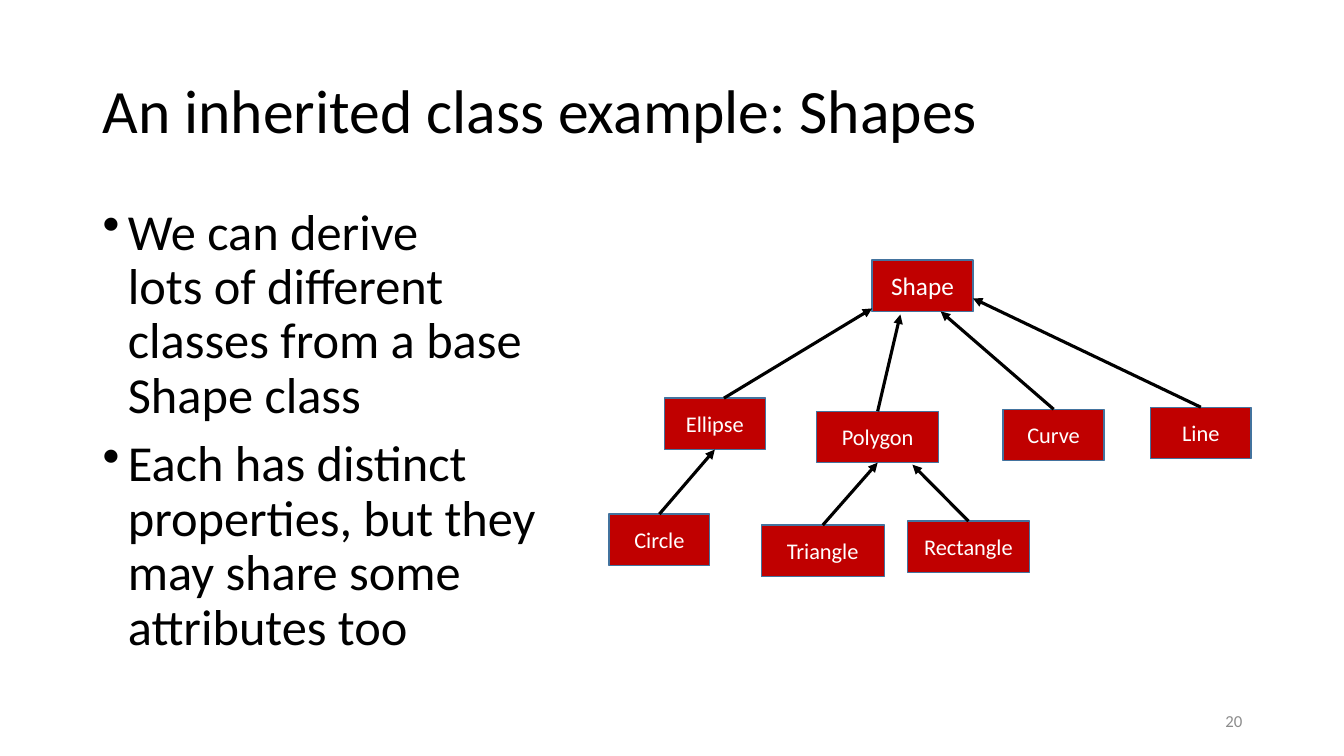
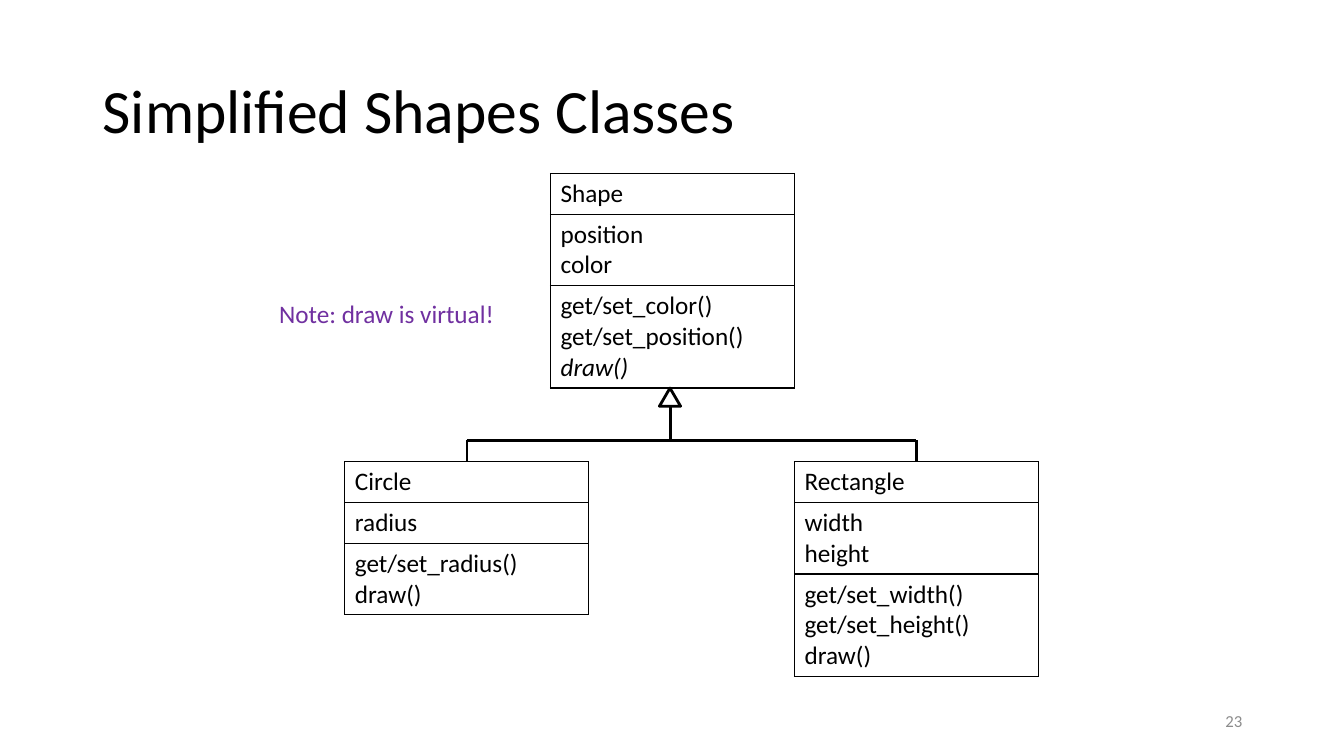
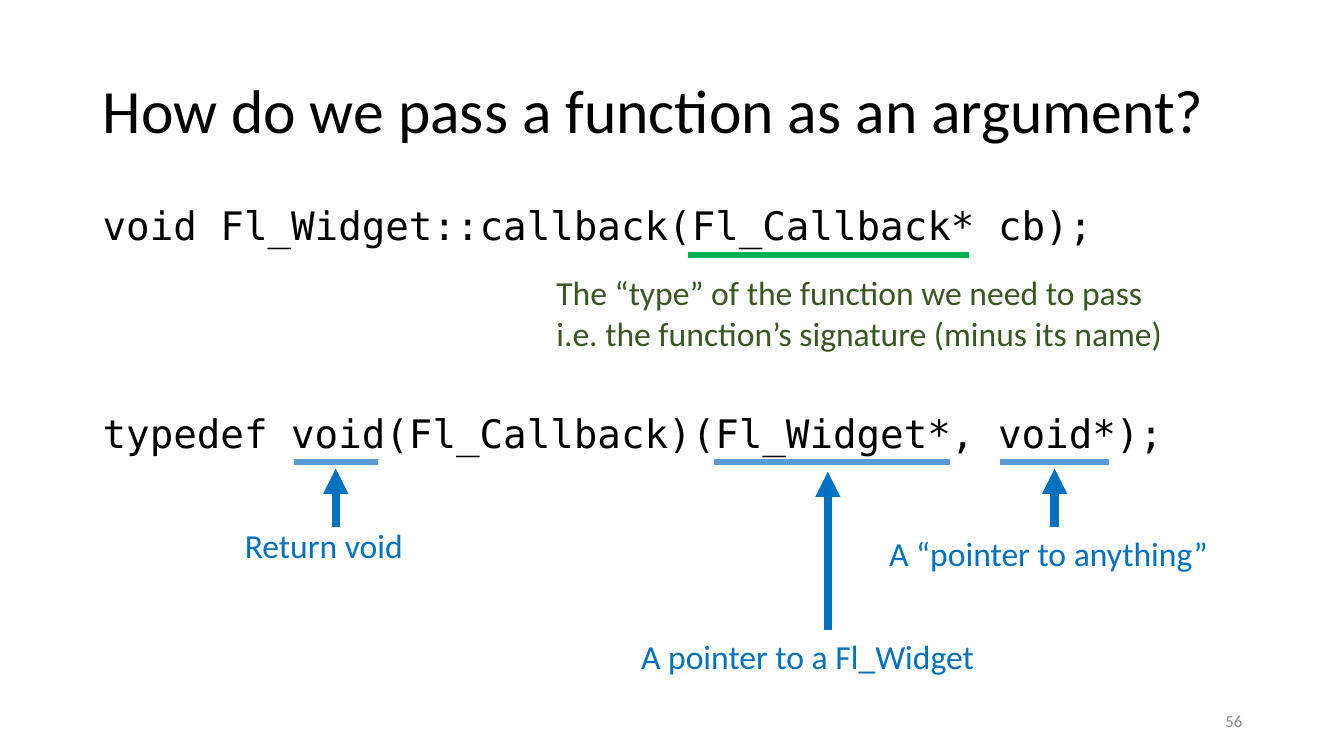
import pptx
import pptx.util
import pptx.dml.color
import pptx.enum.shapes
import pptx.enum.text
import pptx.oxml
import pptx.oxml.ns
from lxml import etree

Inches, Pt = pptx.util.Inches, pptx.util.Pt
Kind = pptx.enum.shapes.MSO_SHAPE
Align, Anchor = pptx.enum.text.PP_ALIGN, pptx.enum.text.MSO_ANCHOR
qn = pptx.oxml.ns.qn


class Theme:
    font, mono = "Calibri", "DejaVu Sans Mono"
    black, white, gray = "000000", "FFFFFF", "8C8C8C"
    red, edge, violet = "C00000", "43739E", "7030A0"
    green, leaf = "00B050", "385723"
    blue, sky = "0070C0", "5B9BD5"
    title, body, code, note = 44, 36, 28, 24
    root, node, cell, foot = 18, 16, 18, 12


TITLE = (0.92, 0.4, 11.5, 1.45)
BODY = (0.92, 2, 11.5, 4.76)
FOOT = (9.42, 6.95, 3, 0.4)

# Slide 1
POINTS = [
    "We can derive\vlots of different\vclasses from a base\vShape class",
    "Each has distinct\vproperties, but they\vmay share some\vattributes too",
]
NODE_H = 0.51
NODES = {  # name: left, top, width
    "Shape": (8.65, 2.58, 1),
    "Circle": (6.04, 5.1, 1),
    "Ellipse": (6.59, 3.95, 1),
    "Rectangle": (9, 5.17, 1.21),
    "Triangle": (7.55, 5.21, 1.22),
    "Polygon": (8.1, 4.08, 1.21),
    "Line": (11.41, 4.04, 1),
    "Curve": (9.95, 4.06, 1),
}
JOINED = [("Circle", "Ellipse"), ("Triangle", "Polygon")]
AIMED = [  # child, tip of the arrow
    ("Polygon", (8.93, 3.12)),
    ("Curve", (9.33, 3.09)),
    ("Line", (9.65, 2.96)),
    ("Rectangle", (9.05, 4.61)),
]
ELLIPSE = (7.18, 3.95), (8.65, 3.06)

# Slide 2
CLASS_W, LINE_H, PAD = 2.42, 0.305, 0.1
CLASSES = [  # left, top, name, fields, methods
    (5.46, 1.72, "Shape", ["position", "color"],
     ["get/set_color()", "get/set_position()", "draw()"]),
    (3.42, 4.58, "Circle", ["radius"], ["get/set_radius()", "draw()"]),
    (7.88, 4.58, "Rectangle", ["width", "height"],
     ["get/set_width()", "get/set_height()", "draw()"]),
]
VIRTUAL = ("Shape", "draw()")
STEM_X, BAR_Y = 6.65, 4.37

# Slide 3
CODE = [
    "void Fl_Widget::callback(Fl_Callback* cb);",
    "typedef void(Fl_Callback)(Fl_Widget*, void*);",
]
RULES = [  # left, right, y, colour
    (6.82, 9.61, 2.53, Theme.green),
    (2.92, 3.75, 4.58, Theme.sky),
    (7.08, 9.42, 4.58, Theme.sky),
    (9.92, 11, 4.58, Theme.sky),
]
ARROWS = [(3.33, 5.23, 4.65), (8.21, 6.25, 4.68), (10.46, 5.23, 4.65)]
NOTES = [
    ((5.42, 2.65, 7, 0.91), Theme.leaf,
     ["The “type” of the function we need to pass",
      "i.e. the function’s signature (minus its name)"]),
    ((2.33, 5.16, 2, 0.5), Theme.blue, ["Return void"]),
    ((6.26, 6.26, 3.92, 0.5), Theme.blue, ["A pointer to a Fl_Widget"]),
    ((8.72, 5.24, 3.48, 0.5), Theme.blue, ["A “pointer to anything”"]),
]


def rgb(color):
    return pptx.dml.color.RGBColor.from_string(color)


def put(item, **look):
    for key, value in look.items():
        setattr(item, key, value)


def write(frame, lines, size, color=Theme.black, font=Theme.font, **look):
    """Fill a text frame, one paragraph a line; look formats paragraphs."""
    for i, line in enumerate(lines):
        para = frame.add_paragraph() if i else frame.paragraphs[0]
        para.text = line
        put(para, **look)
        for run in para.runs:
            put(run.font, size=Pt(size), name=font)
            run.font.color.rgb = rgb(color)
    return frame.paragraphs


def text(slide, box, lines, size, color=Theme.black, anchor=Anchor.TOP,
         wrap=True, **look):
    frame = slide.shapes.add_textbox(*map(Inches, box)).text_frame
    put(frame, word_wrap=wrap, vertical_anchor=anchor)
    return write(frame, lines, size, color, **look)


def shape(slide, kind, box, fill, edge, width):
    item = slide.shapes.add_shape(kind, *map(Inches, box))
    item.shadow.inherit = False
    item.fill.solid()
    item.fill.fore_color.rgb = rgb(fill)
    item.line.color.rgb = rgb(edge)
    item.line.width = Pt(width)
    return item


def line(slide, start, end, color=Theme.black, width=1.5, arrow=False):
    item = slide.shapes.add_connector(
        pptx.enum.shapes.MSO_CONNECTOR.STRAIGHT, *map(Inches, start + end))
    item.line.color.rgb = rgb(color)
    item.line.width = Pt(width)
    if arrow:
        etree.SubElement(item.get_or_add_ln(), qn("a:tailEnd"),
                         type="triangle")
    etree.SubElement(item._element.spPr, qn("a:effectLst"))
    return item


def bullet(para):
    props = para._p.get_or_add_pPr()
    props.set("marL", str(Inches(0.25)))
    props.set("indent", str(-Inches(0.25)))
    etree.SubElement(props, qn("a:buChar"), char="•")


def frame_cell(cell):
    """Give a cell thin black borders and no fill."""
    props = cell._tc.get_or_add_tcPr()
    for side in "LRTB":
        edge = etree.SubElement(props, qn("a:ln" + side), w=str(Pt(1)))
        fill = etree.SubElement(edge, qn("a:solidFill"))
        etree.SubElement(fill, qn("a:srgbClr"), val=Theme.black)
    cell.fill.background()


def page(deck, title, number):
    slide = deck.slides.add_slide(deck.slide_layouts[6])
    text(slide, TITLE, [title], Theme.title, anchor=Anchor.MIDDLE,
         line_spacing=0.9)
    text(slide, FOOT, [str(number)], Theme.foot, Theme.gray, Anchor.MIDDLE,
         alignment=Align.RIGHT)
    return slide


def tree(deck):
    slide = page(deck, "An inherited class example: Shapes", 20)
    for para in text(slide, BODY, POINTS, Theme.body, line_spacing=0.9,
                     space_before=Pt(10)):
        bullet(para)
    nodes = {}
    for name, (left, top, width) in NODES.items():
        node = shape(slide, Kind.RECTANGLE, (left, top, width, NODE_H),
                     Theme.red, Theme.edge, 1)
        size = Theme.root if name == "Shape" else Theme.node
        node.text_frame.vertical_anchor = Anchor.MIDDLE
        write(node.text_frame, [name], size, Theme.white,
              alignment=Align.CENTER)
        nodes[name] = node

    def arrow(start, end):
        return line(slide, start, end, width=2.25, arrow=True)

    def crown(name):
        left, top, width = NODES[name]
        return left + width / 2, top

    arrow(*ELLIPSE)
    for child, tip in AIMED:
        arrow(crown(child), tip).begin_connect(nodes[child], 0)
    for child, parent in JOINED:
        x, y = crown(parent)
        link = arrow(crown(child), (x, y + NODE_H))
        link.begin_connect(nodes[child], 0)
        link.end_connect(nodes[parent], 2)


def classes(deck):
    slide = page(deck, "Simplified Shapes Classes", 23)
    for left, top, name, fields, methods in CLASSES:
        parts = [[name], fields, methods]
        highs = [PAD + LINE_H * len(part) for part in parts]
        table = slide.shapes.add_table(
            3, 1, *map(Inches, (left, top, CLASS_W, sum(highs)))).table
        put(table, first_row=False, horz_banding=False)
        for row, part, high in zip(table.rows, parts, highs):
            row.height = Inches(high)
            cell = row.cells[0]
            frame_cell(cell)
            for para in write(cell.text_frame, part, Theme.cell):
                if (name, para.text) == VIRTUAL:
                    para.runs[0].font.italic = True
    ends = [(left + CLASS_W / 2, top) for left, top, *_ in CLASSES[1:]]
    for x, y in ends:
        line(slide, (x, y), (x, BAR_Y))
    line(slide, (ends[0][0], BAR_Y), (ends[1][0], BAR_Y))
    line(slide, (STEM_X, 4), (STEM_X, BAR_Y))
    shape(slide, Kind.ISOSCELES_TRIANGLE, (STEM_X - 0.11, 3.85, 0.21, 0.18),
          Theme.white, Theme.black, 2)
    text(slide, (2.67, 2.91, 2.49, 0.4), ["Note: draw is virtual!"],
         Theme.cell, Theme.violet, wrap=False)


def callback(deck):
    slide = page(deck, "How do we pass a function as an argument?", 56)
    paras = text(slide, BODY, CODE, Theme.code, font=Theme.mono,
                 line_spacing=0.9, space_before=Pt(10))
    paras[1].space_before = Pt(118.5)
    for left, right, y, color in RULES:
        line(slide, (left, y), (right, y), color, 4.5)
    for x, low, high in ARROWS:
        line(slide, (x, low), (x, high), Theme.blue, 6, arrow=True)
    for box, color, lines in NOTES:
        text(slide, box, lines, Theme.note, color)


def main():
    deck = pptx.Presentation()
    put(deck, slide_width=Inches(13.33), slide_height=Inches(7.5))
    for build in (tree, classes, callback):
        build(deck)
    deck.save("out.pptx")


if __name__ == "__main__":
    main()
